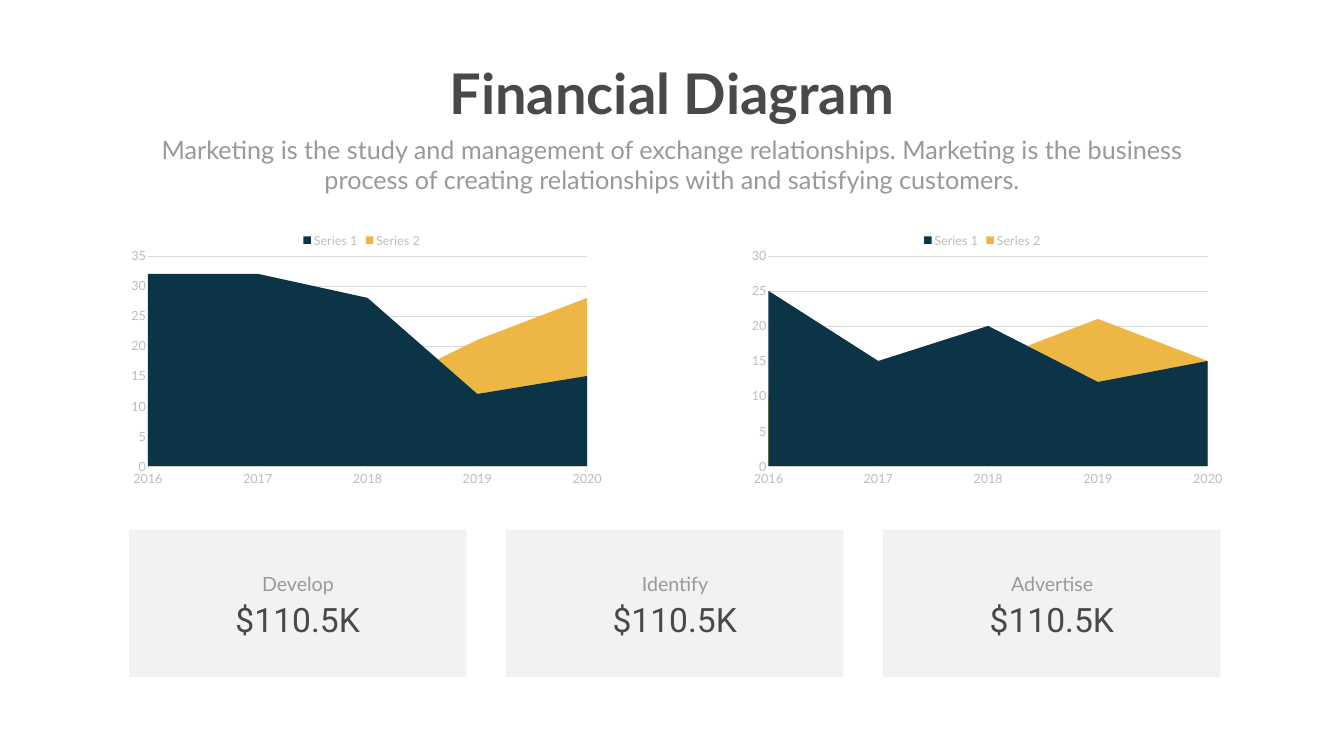
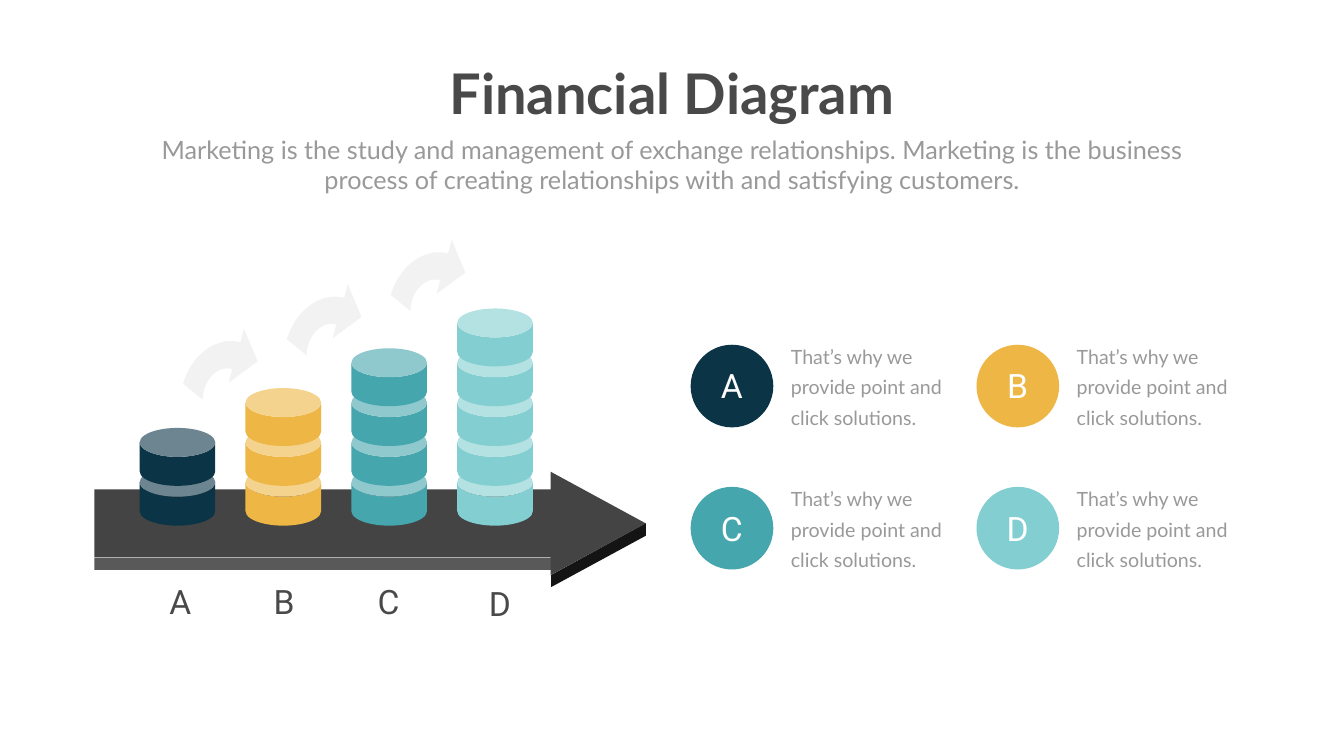
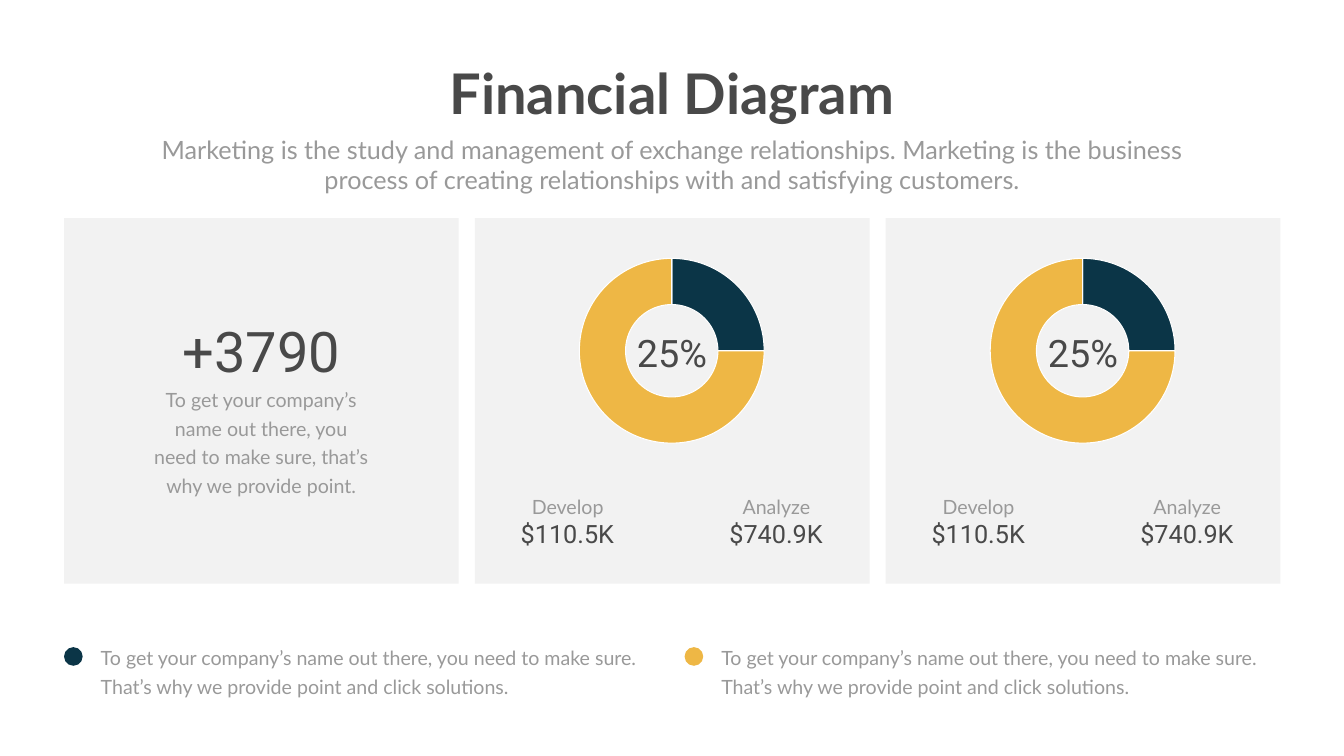
"""Build three financial diagram slides with charts, stacked cans and figure cards."""
from lxml.etree import SubElement
from pptx import Presentation
from pptx.chart.data import CategoryChartData
from pptx.dml.color import RGBColor
from pptx.enum.chart import XL_CHART_TYPE, XL_LEGEND_POSITION, XL_TICK_MARK
from pptx.enum.shapes import MSO_SHAPE
from pptx.enum.text import MSO_ANCHOR, MSO_AUTO_SIZE, PP_ALIGN
from pptx.oxml import parse_xml
from pptx.oxml.ns import nsdecls, qn
from pptx.util import Inches, Pt

COLORS = {
    "navy": "0B3547", "gold": "EEB745", "teal": "45A6AE", "aqua": "82CED0",
    "dark": "494949", "gray": "999999", "axis": "BDBDBD", "grid": "D9D9D9",
    "axis_line": "F0F0F0", "panel": "808080", "white": "FFFFFF",
    "arrow": "444444", "arrow_side": "595959", "arrow_edge": "141414",
}
TITLE = "Financial Diagram"
SUBTITLE = (
    "Marketing is the study and management of exchange relationships. "
    "Marketing is the business process of creating relationships with and satisfying customers."
)

YEARS = ["2016", "2017", "2018", "2019", "2020"]
AREA_CHARTS = [
    (1.9, 35, [32, 32, 28, 12, 15], [12, 12, 12, 21, 28]),
    (14.21, 30, [25, 15, 20, 12, 15], [10, 8, 15, 21, 15]),
]
BUDGETS = [("Develop", "$110.5K"), ("Identify", "$110.5K"), ("Advertise", "$110.5K")]

STACKS = [
    ("A", "navy", 2, 3.08, 11.48),
    ("B", "gold", 3, 5.14, 11.48),
    ("C", "teal", 4, 7.21, 11.48),
    ("D", "aqua", 5, 9.42, 11.52),
]
STACK_NOTE = "That’s why we provide point and click solutions."
HOP_START = (4.61, 7.32)
HOP_INNER = [
    ((4.38, 7.25), (4.13, 7.44), (4.05, 7.73)),
    ((4.03, 7.8), (4.02, 7.87), (4.02, 7.93)),
]
HOP_OUTER = [((3.8, 7.03), (4.31, 6.66), (4.77, 6.79))]
HOP_TAIL = (3.63, 7.61)
HOP_HEAD = [(4.84, 6.52), (5.11, 7.17), (4.54, 7.59)]

TOTAL = "+3790"
TOTAL_NOTE = "To get your company’s name out there, you need to make sure, that’s why we provide point."
SHARES = [(25, 75), (25, 75)]
SHARE_FIGURES = [("Develop", "$110.5K"), ("Analyze", "$740.9K")]
FOOTNOTE = (
    "To get your company’s name out there, you need to make sure. "
    "That’s why we provide point and click solutions."
)
FOOTNOTE_COLORS = ["navy", "gold"]


def rgb(color):
    return RGBColor.from_string(COLORS[color])


def style_font(font, size, color, name="Lato", bold=False):
    font.size, font.name, font.bold = Pt(size), name, bold
    font.color.rgb = rgb(color)


def add_text(slide, text, left, top, width, height, size, color="gray",
             name="Lato", align=PP_ALIGN.CENTER, spacing=None):
    box = slide.shapes.add_textbox(Inches(left), Inches(top), Inches(width), Inches(height))
    box.text_frame.word_wrap = True
    para = box.text_frame.paragraphs[0]
    para.text = text
    para.alignment = align
    if spacing:
        para.line_spacing = Pt(spacing)
    style_font(para.font, size, color, name)


def add_figure(slide, text, left, top, width, height, size, color="dark"):
    add_text(slide, text, left, top, width, height, size, color, "Roboto")


def paint(shape, color, alpha=None):
    shape.shadow.inherit = False
    shape.fill.solid()
    shape.fill.fore_color.rgb = rgb(color)
    shape.line.fill.background()
    if alpha:
        tint = shape.fill._xPr.find(qn("a:solidFill"))[0]
        SubElement(tint, qn("a:alpha")).set("val", str(alpha * 1000))


def add_shape(slide, kind, left, top, width, height, color, alpha=None):
    shape = slide.shapes.add_shape(kind, Inches(left), Inches(top), Inches(width), Inches(height))
    paint(shape, color, alpha)
    return shape


def add_outline(slide, points, color, alpha=None):
    builder = slide.shapes.build_freeform(
        Inches(points[0][0]), Inches(points[0][1]), scale=1.0)
    builder.add_line_segments([(Inches(x), Inches(y)) for x, y in points[1:]])
    paint(builder.convert_to_shape(), color, alpha)


def add_page(deck):
    page = deck.slides.add_slide(deck.slide_layouts[5])
    title = page.shapes.title
    title.left, title.top = Inches(8.71), Inches(1.12)
    title.width, title.height = Inches(9.24), Inches(1.45)
    frame = title.text_frame
    frame.text = TITLE
    frame.word_wrap = False
    frame.auto_size = MSO_AUTO_SIZE.NONE
    frame.vertical_anchor = MSO_ANCHOR.TOP
    frame.paragraphs[0].alignment = PP_ALIGN.CENTER
    style_font(frame.paragraphs[0].font, 80, "dark", bold=True)
    add_text(page, SUBTITLE, 2.92, 2.61, 20.82, 1.31, 36)
    return page


def set_plot_layout(chart, x, y, width, height):
    plot_area = chart._chartSpace.chart.plotArea
    for old in plot_area.findall(qn("c:layout")):
        plot_area.remove(old)
    sizes = "".join(f'<c:{tag} val="{value}"/>' for tag, value in
                    (("x", x), ("y", y), ("w", width), ("h", height)))
    plot_area.insert(0, parse_xml(
        f'<c:layout {nsdecls("c")}><c:manualLayout><c:layoutTarget val="inner"/>'
        f'<c:xMode val="edge"/><c:yMode val="edge"/>{sizes}</c:manualLayout></c:layout>'))


def add_chart(slide, kind, categories, series, left, top, width, height):
    data = CategoryChartData()
    data.categories = categories
    for number, values in enumerate(series, 1):
        data.add_series(f"Series {number}", values)
    chart = slide.shapes.add_chart(
        kind, Inches(left), Inches(top), Inches(width), Inches(height), data).chart
    chart.has_title = False
    return chart


def add_area_chart(slide, left, maximum, *series):
    chart = add_chart(slide, XL_CHART_TYPE.AREA, YEARS, series, left, 4.49, 10.55, 5.42)
    style_font(chart.font, 18, "gray")
    chart.plots[0].vary_by_categories = False
    for line, color in zip(chart.plots[0].series, ("navy", "gold")):
        line.format.fill.solid()
        line.format.fill.fore_color.rgb = rgb(color)
    chart.has_legend = True
    chart.legend.position = XL_LEGEND_POSITION.TOP
    chart.legend.include_in_layout = False
    years, values = chart.category_axis, chart.value_axis
    for part in (chart.legend.font, years.tick_labels.font, values.tick_labels.font):
        style_font(part, 18, "axis")
    years.has_major_gridlines = False
    years.major_tick_mark = XL_TICK_MARK.OUTSIDE
    values.major_tick_mark = XL_TICK_MARK.NONE
    values.minimum_scale, values.maximum_scale, values.major_unit = 0, maximum, 5
    values.has_major_gridlines = True
    values.format.line.fill.background()
    for line, color in ((years.format.line, "axis_line"),
                        (values.major_gridlines.format.line, "grid")):
        line.color.rgb = rgb(color)
        line.width = Pt(0.75)
    set_plot_layout(chart, 0.098, 0.108, 0.826, 0.77)


def add_doughnut(slide, shares, left):
    chart = add_chart(slide, XL_CHART_TYPE.DOUGHNUT, ["1", "2"], [shares], left, 4.98, 4.67, 3.96)
    style_font(chart.font, 10, "gray", "Calibri")
    chart.has_legend = False
    plot = chart.plots[0]
    plot.has_data_labels = False
    plot._element.find(qn("c:holeSize")).set("val", "75")
    for index, color in enumerate(("navy", "gold")):
        look = plot.series[0].points[index].format
        look.fill.solid()
        look.fill.fore_color.rgb = rgb(color)
        look.line.color.rgb = rgb("white")
        look.line.width = Pt(1.5)
    set_plot_layout(chart, 0.107, 0.037, 0.786, 0.926)


def curve_points(start, curves, steps=10):
    points = []
    for first, second, end in curves:
        for step in range(1, steps + 1):
            t = step / steps
            weights = ((1 - t) ** 3, 3 * t * (1 - t) ** 2, 3 * t * t * (1 - t), t ** 3)
            points.append(tuple(
                sum(weight * point[axis] for weight, point in
                    zip(weights, (start, first, second, end)))
                for axis in (0, 1)))
        start = end
    return points


def build_area_page(deck):
    page = add_page(deck)
    for chart in AREA_CHARTS:
        add_area_chart(page, *chart)
    for index, (label, amount) in enumerate(BUDGETS):
        left = 2.56 + 7.48 * index
        add_shape(page, MSO_SHAPE.RECTANGLE, left, 10.51, 6.69, 2.92, "panel", 10)
        add_text(page, label, left + 2.11, 11.19, 2.48, 0.63, 28, spacing=40.8)
        add_figure(page, amount, left + 1.72, 11.84, 3.25, 0.91, 48)


def build_stack_page(deck):
    page = add_page(deck)
    add_shape(page, MSO_SHAPE.RECTANGLE, 1.87, 11.07, 9.07, 0.24, "arrow_side")
    add_outline(page, [(10.93, 11.41), (12.81, 10.38), (12.81, 10.63), (10.93, 11.65)],
                "arrow_edge")
    arrow = add_shape(page, MSO_SHAPE.RIGHT_ARROW, 1.87, 9.36, 10.94, 2.05, "arrow")
    arrow.adjustments[0], arrow.adjustments[1] = 0.66, 0.92

    hop = [HOP_START, *curve_points(HOP_START, HOP_INNER), HOP_TAIL,
           *curve_points(HOP_TAIL, HOP_OUTER), *HOP_HEAD]
    for index in range(len(STACKS) - 1):
        add_outline(page, [(x + 2.06 * index, y - 0.88 * index) for x, y in hop], "panel", 10)

    for index, (letter, color, count, label_left, label_top) in enumerate(STACKS):
        for level in range(count):
            can = add_shape(page, MSO_SHAPE.CAN, 2.77 + 2.1 * index, 9.28 - 0.79 * level,
                            1.5, 1.15, color)
            can.adjustments[0] = 0.5
        add_figure(page, letter, label_left, label_top, 0.99, 0.91, 48)

        row, column = divmod(index, 2)
        left, top = 13.7 + 5.67 * column, 6.84 + 2.82 * row
        add_shape(page, MSO_SHAPE.OVAL, left, top, 1.64, 1.64, color)
        add_figure(page, letter, left + 0.32, top + 0.36, 0.99, 0.91, 48, "white")
        add_text(page, STACK_NOTE, left + 1.89, top - 0.17, 3.53, 1.84, 28,
                 align=PP_ALIGN.LEFT, spacing=43)


def build_share_page(deck):
    page = add_page(deck)
    card_lefts = [1.27 + 8.15 * index for index in range(len(SHARES) + 1)]
    for left in card_lefts:
        add_shape(page, MSO_SHAPE.RECTANGLE, left, 4.33, 7.83, 7.25, "panel", 10)
    add_figure(page, TOTAL, 2.63, 6.24, 5.11, 1.31, 80)
    add_text(page, TOTAL_NOTE, 2.93, 7.55, 4.5, 2.12, 28, spacing=40.8)
    for left, shares in zip(card_lefts[1:], SHARES):
        add_doughnut(page, shares, left + 1.57)
        add_figure(page, f"{shares[0]}%", left + 2.56, 6.49, 2.7, 0.91, 54)
        for index, (label, amount) in enumerate(SHARE_FIGURES):
            label_left = left + 0.82 + 4.14 * index
            add_text(page, label, label_left, 9.68, 2.04, 0.56, 28, spacing=40.8)
            add_figure(page, amount, label_left - 0.32, 10.24, 2.67, 0.64, 36)
    for index, color in enumerate(FOOTNOTE_COLORS):
        left = 1.27 + 12.31 * index
        add_shape(page, MSO_SHAPE.OVAL, left, 12.84, 0.37, 0.37, color)
        add_text(page, FOOTNOTE, left + 0.63, 12.67, 11.19, 1.19, 28,
                 align=PP_ALIGN.LEFT, spacing=40.8)


def main():
    deck = Presentation()
    deck.slide_width, deck.slide_height = Inches(26.66), Inches(15)
    build_area_page(deck)
    build_stack_page(deck)
    build_share_page(deck)
    deck.save("out.pptx")


if __name__ == "__main__":
    main()
